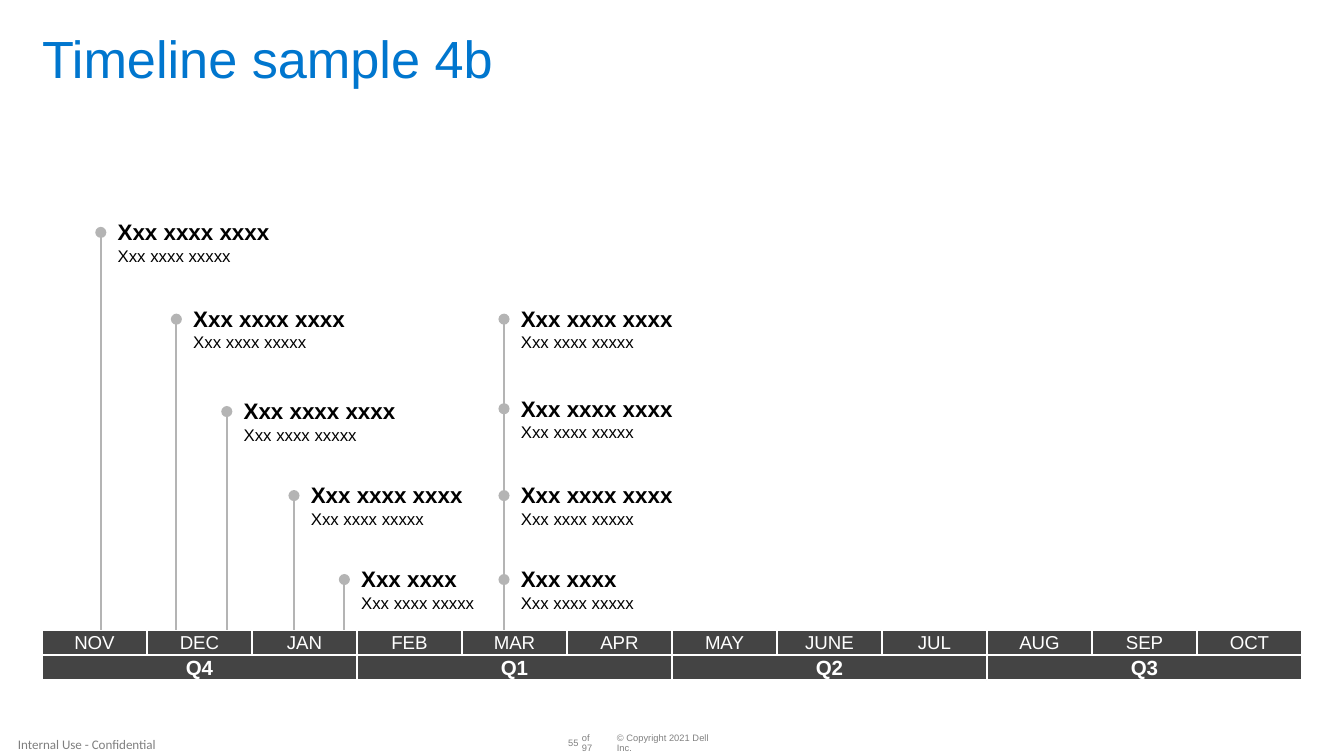
from lxml import etree
from pptx import Presentation
from pptx.dml.color import RGBColor
from pptx.enum import shapes, text
from pptx.oxml.ns import qn
from pptx.util import Pt

BLUE = RGBColor(0x00, 0x76, 0xCE)
DARK = RGBColor(0x44, 0x44, 0x44)
LIGHT = RGBColor(0xB4, 0xB4, 0xB4)
GREY = RGBColor(0x80, 0x80, 0x80)
ASH = RGBColor(0x7F, 0x7F, 0x7F)
BLACK = RGBColor(0, 0, 0)
WHITE = RGBColor(255, 255, 255)

MID = text.MSO_ANCHOR.MIDDLE
TOP = text.MSO_ANCHOR.TOP
LEFT = text.PP_ALIGN.LEFT
RIGHT = text.PP_ALIGN.RIGHT
CENTER = text.PP_ALIGN.CENTER

MONTHS = "NOV DEC JAN FEB MAR APR MAY JUNE JUL AUG SEP OCT".split()
QUARTERS = ["Q4", "Q1", "Q2", "Q3"]
EDGE, SLOT, ROW, AXIS = 22.5, 56.25, 13.5, 337.5

LONG, SHORT, NOTE = "Xxx xxxx xxxx", "Xxx xxxx", "Xxx xxxx xxxxx"
EVENTS = [(54, 124.5, LONG), (94.5, 171, LONG), (121.5, 220.5, LONG),
          (157.5, 265.5, LONG), (184.5, 310.5, SHORT)]
STACK_X = 270
STACK = [(310.5, SHORT), (265.5, LONG), (219, LONG), (171, LONG)]


def set_frame(frame, anchor, wrap):
    """Clear the margins of a text frame and set its anchor and wrapping."""
    frame.margin_left = frame.margin_top = Pt(0)
    frame.margin_right = frame.margin_bottom = Pt(0)
    frame.vertical_anchor = anchor
    frame.word_wrap = wrap


def set_para(para, words, size, color, bold=False, align=LEFT, face="Arial"):
    """Fill a paragraph and set its font."""
    para.text = words
    para.alignment = align
    font = para.font
    font.name, font.size, font.bold = face, Pt(size), bold
    font.color.rgb = color


def add_text(slide, box, words, size, color, anchor=MID, wrap=True,
             space=0.9, **style):
    """Add a text box with one paragraph."""
    frame = slide.shapes.add_textbox(*map(Pt, box)).text_frame
    set_frame(frame, anchor, wrap)
    para = frame.paragraphs[0]
    set_para(para, words, size, color, **style)
    para.line_spacing = space


def add_row(slide, names, top, width, size, bold):
    """Add a row of equal dark cells along the time axis."""
    for i, name in enumerate(names):
        cell = slide.shapes.add_shape(
            shapes.MSO_SHAPE.RECTANGLE,
            Pt(EDGE + i * width), Pt(top), Pt(width), Pt(ROW))
        cell.shadow.inherit = False
        cell.fill.solid()
        cell.fill.fore_color.rgb = DARK
        cell.line.color.rgb = WHITE
        cell.line.width = Pt(1)
        set_frame(cell.text_frame, MID, True)
        set_para(cell.text_frame.paragraphs[0], name, size, WHITE, bold, CENTER)


def add_stem(slide, x, start, end):
    """Add an upright line that ends in a dot."""
    stem = slide.shapes.add_connector(
        shapes.MSO_CONNECTOR.STRAIGHT, Pt(x), Pt(start), Pt(x), Pt(end))
    stem.line.color.rgb = LIGHT
    stem.line.width = Pt(1)
    line = stem.line._get_or_add_ln()
    etree.SubElement(line, qn("a:tailEnd"), type="oval")
    etree.SubElement(stem._element.spPr, qn("a:effectLst"))


def add_label(slide, x, y, head):
    """Add the heading and note beside a dot."""
    width = 82 if head == LONG else 61.5
    frame = slide.shapes.add_textbox(
        Pt(x + 9), Pt(y - 7.5), Pt(width), Pt(25)).text_frame
    set_frame(frame, TOP, False)
    set_para(frame.paragraphs[0], head, 12, BLACK, True)
    set_para(frame.add_paragraph(), NOTE, 9, BLACK)


def add_footer(slide):
    """Add the small print at the foot of the slide."""
    add_text(slide, (330.5, 395.3, 58, 6), "© Copyright 2021 Dell Inc.", 5, GREY)
    add_text(slide, (304, 395.3, 6, 6), "55", 5, GREY, wrap=False, align=RIGHT)
    add_text(slide, (311.8, 395.3, 10.5, 6), "of 97", 5, GREY)
    add_text(slide, (9.6, 391, 84, 16), "Internal Use - Confidential", 7, ASH,
             wrap=False, space=1, face="Calibri")


def main():
    """Build the timeline slide and save it."""
    deck = Presentation()
    deck.slide_width, deck.slide_height = Pt(720), Pt(405)
    slide = deck.slides.add_slide(deck.slide_layouts[6])
    add_footer(slide)
    add_text(slide, (EDGE, 18, 675, 30), "Timeline sample 4b", 28, BLUE, TOP)
    add_row(slide, QUARTERS, AXIS + ROW, 3 * SLOT, 11, True)
    add_row(slide, MONTHS, AXIS, SLOT, 10, False)
    for x, y, head in EVENTS:
        add_stem(slide, x, AXIS, y)
        add_label(slide, x, y, head)
    start = AXIS
    for y, head in STACK:
        add_stem(slide, STACK_X, start, y)
        add_label(slide, STACK_X, y, head)
        start = y
    deck.save("out.pptx")


if __name__ == "__main__":
    main()
